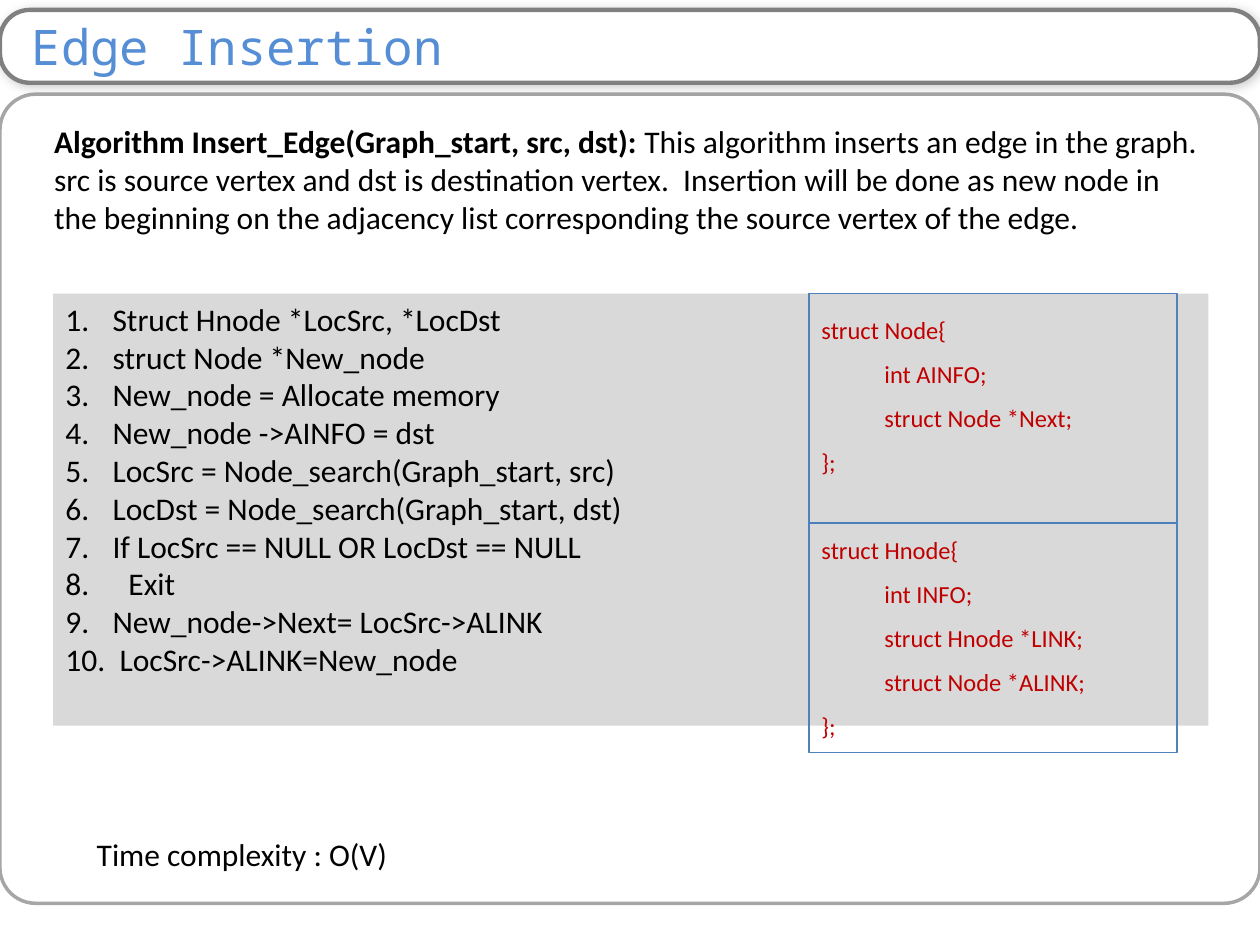
from dataclasses import dataclass
from typing import Optional

from lxml.etree import SubElement
from pptx import Presentation
from pptx.dml.color import RGBColor
from pptx.enum.shapes import MSO_CONNECTOR, MSO_SHAPE
from pptx.enum.text import MSO_ANCHOR, MSO_AUTO_SIZE, PP_ALIGN
from pptx.oxml.ns import qn
from pptx.util import Cm, Pt

COLORS = {
    "white": "FFFFFF",
    "black": "000000",
    "title": "558ED5",
    "frame": "A6A6A6",
    "header": "808080",
    "panel": "D9D9D9",
    "struct_text": "C00000",
    "struct_line": "4F81BD",
    "divider": "4B7EBC",
}
BODY_FONT = "Calibri"
TITLE_FONT = "Noto Sans Mono"

STEPS = [
    "Struct Hnode *LocSrc, *LocDst",
    "struct Node *New_node",
    "New_node = Allocate memory",
    "New_node ->AINFO = dst",
    "LocSrc = Node_search(Graph_start, src)",
    "LocDst = Node_search(Graph_start, dst)",
    "If LocSrc == NULL OR LocDst == NULL",
    "\tExit",
    "New_node->Next= LocSrc->ALINK",
    " LocSrc->ALINK=New_node",
]
NODE_STRUCT = ["struct Node{", "\tint AINFO;", "\tstruct Node *Next;", "};"]
HNODE_STRUCT = [
    "struct Hnode{",
    "\tint INFO;",
    "\tstruct Hnode *LINK;",
    "\tstruct Node *ALINK;",
    "};",
]
INTRO_HEADING = "Algorithm Insert_Edge(Graph_start, src, dst): "
INTRO_BODY = (
    "This algorithm inserts an edge in the graph. src is source vertex and dst is "
    "destination vertex.  Insertion will be done as new node in the beginning on the "
    "adjacency list corresponding the source vertex of the edge."
)


@dataclass(frozen=True)
class Box:
    left: float
    top: float
    width: float
    height: float

    def lengths(self) -> tuple:
        return Cm(self.left), Cm(self.top), Cm(self.width), Cm(self.height)


@dataclass(frozen=True)
class Panel:
    box: Box
    fill: Optional[str] = None
    line: Optional[str] = None
    line_width: float = 0.75
    corner: Optional[float] = None


BODY_FRAME = Panel(Box(0, 1.9, 25.4, 16.31), line="frame", line_width=2, corner=0.044)
HEADER = Panel(Box(0, 0.2, 25.4, 1.47), "white", "header", 2.5, 0.409)
CODE = Panel(Box(1.07, 5.92, 23.29, 8.71), fill="panel")
STRUCTS = Panel(Box(16.31, 5.92, 7.42, 9.25), line="struct_line")
INTRO = Box(0.84, 2.34, 23.7, 4.11)
COMPLEXITY = Box(1.7, 16.71, 22.02, 1.02)


def color(name: str) -> RGBColor:
    return RGBColor.from_string(COLORS[name])


def add_panel(slide, panel: Panel):
    kind = MSO_SHAPE.RECTANGLE if panel.corner is None else MSO_SHAPE.ROUNDED_RECTANGLE
    shape = slide.shapes.add_shape(kind, *panel.box.lengths())
    shape.shadow.inherit = False
    if panel.corner is not None:
        shape.adjustments[0] = panel.corner
    if panel.fill:
        shape.fill.solid()
        shape.fill.fore_color.rgb = color(panel.fill)
    else:
        shape.fill.background()
    if panel.line:
        shape.line.color.rgb = color(panel.line)
        shape.line.width = Pt(panel.line_width)
    else:
        shape.line.fill.background()
    return shape


def add_soft_shadow(shape) -> None:
    effects = shape._element.spPr.find(qn("a:effectLst"))
    shadow = SubElement(effects, qn("a:outerShdw"), blurRad=str(Pt(6)),
                        dist=str(Pt(1)), dir="2700000", algn="tl", rotWithShape="0")
    tint = SubElement(shadow, qn("a:srgbClr"), val=COLORS["black"])
    SubElement(tint, qn("a:alpha"), val="20000")


def write_lines(frame, lines: list[str], size: float = 18, font_color: str = "black",
                spacing: Optional[float] = None) -> None:
    frame.word_wrap = True
    frame.vertical_anchor = MSO_ANCHOR.TOP
    frame.text = "\n".join(lines)
    for paragraph in frame.paragraphs:
        paragraph.alignment = PP_ALIGN.LEFT
        paragraph.line_spacing = spacing
        paragraph.font.name = BODY_FONT
        paragraph.font.size = Pt(size)
        paragraph.font.color.rgb = color(font_color)


def number_paragraphs(frame) -> None:
    indent = Cm(0.95)
    for paragraph in frame.paragraphs:
        properties = paragraph._p.get_or_add_pPr()
        properties.set("marL", str(indent))
        properties.set("indent", str(-indent))
        numbering = properties.makeelement(qn("a:buAutoNum"), {"type": "arabicPeriod"})
        properties.insert_element_before(numbering, "a:tabLst", "a:defRPr", "a:extLst")


def add_title(slide, text: str) -> None:
    add_soft_shadow(add_panel(slide, HEADER))
    title = slide.shapes.title
    title.left, title.top, title.width, title.height = HEADER.box.lengths()
    frame = title.text_frame
    frame.text = text
    frame.auto_size = MSO_AUTO_SIZE.NONE
    frame.vertical_anchor = MSO_ANCHOR.MIDDLE
    frame.margin_left, frame.margin_right = Cm(0.64), Cm(0.25)
    frame.margin_top = frame.margin_bottom = 0
    paragraph = frame.paragraphs[0]
    paragraph.alignment = PP_ALIGN.LEFT
    paragraph.font.name = TITLE_FONT
    paragraph.font.size = Pt(28)
    paragraph.font.color.rgb = color("title")
    slide.shapes._spTree.append(title._element)


def add_divider(slide, shape) -> None:
    middle = shape.top + shape.height // 2
    divider = slide.shapes.add_connector(
        MSO_CONNECTOR.STRAIGHT, shape.left, middle, shape.left + shape.width, middle)
    divider.begin_connect(shape, 1)
    divider.end_connect(shape, 3)
    divider.line.color.rgb = color("divider")
    divider.line.width = Pt(0.75)
    SubElement(divider._element.spPr, qn("a:effectLst"))


def main() -> None:
    presentation = Presentation()
    presentation.slide_width, presentation.slide_height = Cm(25.4), Cm(19.05)
    slide = presentation.slides.add_slide(presentation.slide_layouts[5])

    add_panel(slide, BODY_FRAME)
    add_title(slide, "Edge Insertion")

    intro = slide.shapes.add_textbox(*INTRO.lengths()).text_frame
    write_lines(intro, [INTRO_HEADING])
    intro.paragraphs[0].runs[0].font.bold = True
    intro.paragraphs[0].add_run().text = INTRO_BODY

    code = add_panel(slide, CODE).text_frame
    write_lines(code, STEPS)
    number_paragraphs(code)

    structs = add_panel(slide, STRUCTS)
    write_lines(structs.text_frame, NODE_STRUCT + HNODE_STRUCT, 14, "struct_text", 1.5)
    structs.text_frame.paragraphs[len(NODE_STRUCT)].space_before = Pt(25)
    add_divider(slide, structs)

    complexity = slide.shapes.add_textbox(*COMPLEXITY.lengths()).text_frame
    write_lines(complexity, ["Time complexity : O(V)"])

    presentation.save("out.pptx")


if __name__ == "__main__":
    main()
